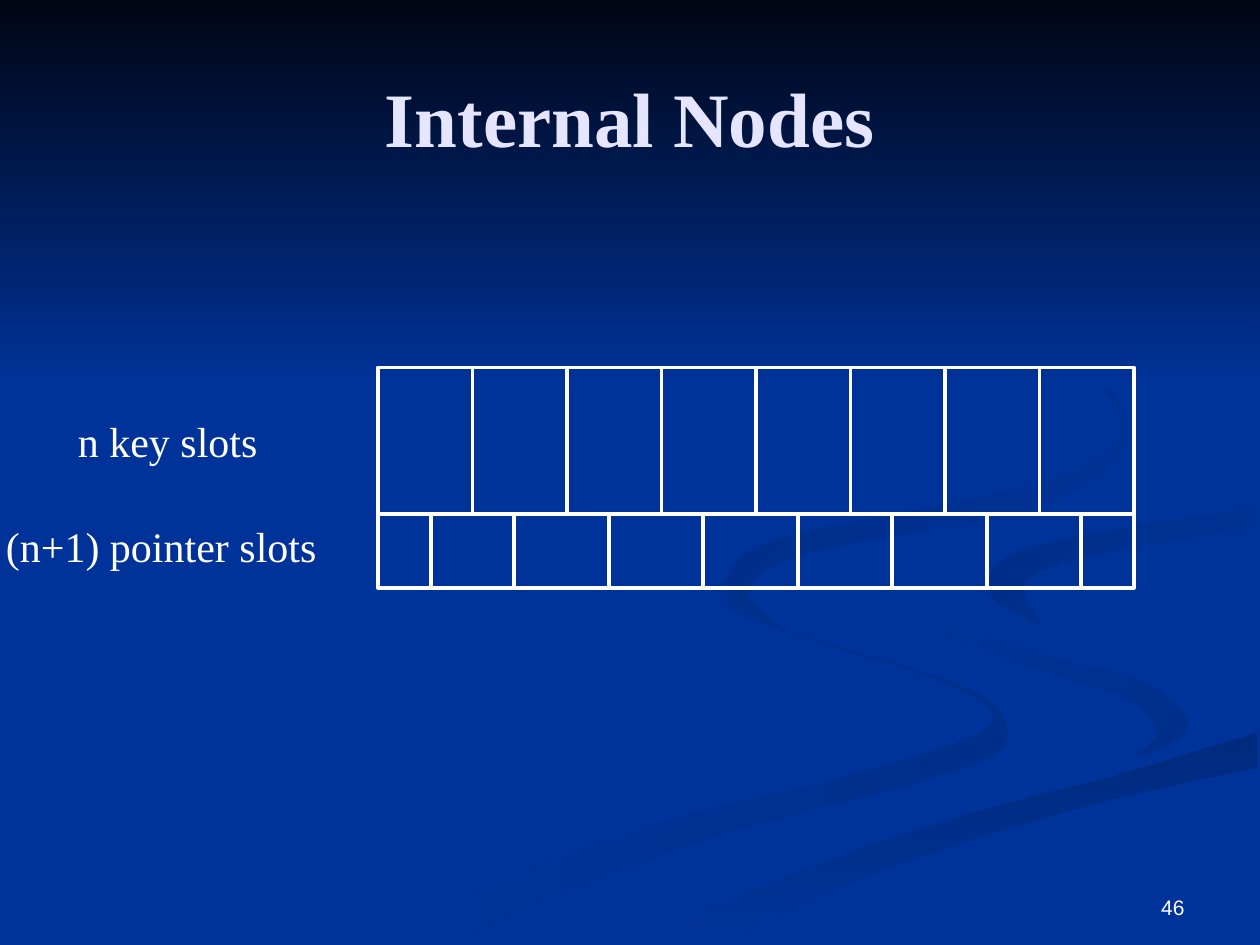
from dataclasses import dataclass

from lxml import etree
from pptx import Presentation
from pptx.dml.color import RGBColor
from pptx.enum.shapes import MSO_CONNECTOR, MSO_SHAPE
from pptx.enum.text import MSO_ANCHOR, MSO_AUTO_SIZE, PP_ALIGN
from pptx.oxml.ns import qn
from pptx.util import Cm, Pt

STRAIGHT = MSO_CONNECTOR.STRAIGHT
RECTANGLE = MSO_SHAPE.RECTANGLE
LEFT, CENTER, RIGHT = PP_ALIGN.LEFT, PP_ALIGN.CENTER, PP_ALIGN.RIGHT
TOP, MIDDLE, BOTTOM = MSO_ANCHOR.TOP, MSO_ANCHOR.MIDDLE, MSO_ANCHOR.BOTTOM
FIT_SHAPE = MSO_AUTO_SIZE.SHAPE_TO_FIT_TEXT

COLORS = {
    "night": "000514",
    "blue": "003399",
    "shade": "002E8B",
    "deep": "002A7D",
    "dusk": "002D86",
    "dark": "002B82",
    "title": "E5E5FF",
    "white": "FFFFFF",
}
SERIF, SANS = "Times New Roman", "Arial"

SLIDE_WIDTH, SLIDE_HEIGHT = 25.4, 19.05
RIBBON_UNIT = Cm(2.54) / 100  # ribbon points are hundredths of an inch
CURVE_STEPS = 5

# The node: a row of key slots above a row of pointer slots
KEY_COUNT = 8
NODE_LEFT, NODE_TOP, NODE_WIDTH = 7.62, 7.41, 15.24
KEY_HEIGHT, POINTER_HEIGHT = 2.96, 1.48
END_SLOT_WIDTH = 1.06
LINE_WIDTH = 2.25

Point = tuple[float, float]


@dataclass
class Ribbon:
    """A curved band of the background: smooth edges joined by straight ends."""
    start: str
    end: str
    angle: int
    edges: list[list[Point]]


@dataclass
class Label:
    text: str
    left: float
    top: float
    width: float
    height: float


# Edges shared by neighbouring ribbons
VALLEY = [(724, 464), (745, 490), (831, 519), (905, 540), (943, 570), (926, 593)]
BANK = [(503, 749), (630, 693), (765, 647), (904, 610), (998, 581)]
CREST = [(781, 460), (810, 437), (898, 418), (998, 402)]

RIBBONS = [
    Ribbon("shade", "blue", 180, [
        [(575, 459), (570, 472), (593, 491), (679, 519), (741, 539), (785, 562),
         (774, 583), (684, 613), (539, 649), (417, 690), (300, 749)],
        [(361, 749), (466, 700), (594, 656), (721, 623), (786, 601), (800, 581),
         (781, 553), (715, 528), (614, 496), (575, 459)]]),
    Ribbon("shade", "blue", 225, [
        VALLEY + [(894, 605)],
        [(894, 605), (918, 581), (892, 553), (838, 536), (755, 505), (724, 464)]]),
    Ribbon("deep", "blue", 90, [
        BANK, [(998, 609), (861, 640), (695, 692), (571, 749)]]),
    Ribbon("blue", "blue", 0, [
        VALLEY + [(780, 634), (619, 684), (477, 749)], BANK,
        [(999, 538), (904, 519), (804, 485), (781, 460)], CREST,
        [(999, 387), (830, 415), (755, 432), (724, 464)]]),
    Ribbon("blue", "dusk", 225, [
        CREST, [(998, 420), (896, 435), (816, 459), (826, 496)],
        [(826, 496), (791, 478), (781, 460)]]),
    Ribbon("blue", "dark", 225, [
        [(762, 233), (846, 279), (889, 335), (861, 370), (763, 398), (649, 420),
         (589, 441), (580, 474), (622, 500)],
        [(622, 500), (593, 470), (624, 444), (683, 430), (807, 407), (883, 370),
         (890, 324), (843, 275), (762, 233)]]),
]

SLOT_LABELS = [
    Label("n key slots", 1.32, 8.26, 4.72, 1.27),
    Label("(n+1) pointer slots", -0.13, 10.37, 7.8, 1.27),
]
PAGE_NUMBER = Label("46", 18.21, 17.36, 5.92, 1.31)


def rgb(name: str) -> RGBColor:
    return RGBColor.from_string(COLORS[name])


def smooth_edge(knots: list[Point]) -> list[Point]:
    """Run a Catmull-Rom curve through the knots."""
    padded = [knots[0], *knots, knots[-1]]
    curve = [knots[0]]
    for a, b, c, d in zip(padded, padded[1:], padded[2:], padded[3:]):
        for step in range(1, CURVE_STEPS + 1):
            t = step / CURVE_STEPS
            curve.append(tuple(
                q + t / 2 * (r - p + t * (2 * p - 5 * q + 4 * r - s
                                          + t * (3 * (q - r) + s - p)))
                for p, q, r, s in zip(a, b, c, d)))
    return curve


def paint_gradient(shape, start: str, end: str, angle: int) -> None:
    """Fill without outline; the angle runs clockwise from left-to-right."""
    shape.shadow.inherit = False
    shape.line.fill.background()
    shape.fill.gradient()
    shape.fill.gradient_angle = -angle % 360
    for stop, name in zip(shape.fill.gradient_stops, (start, end)):
        stop.color.rgb = rgb(name)


def draw_ribbon(shapes, ribbon: Ribbon) -> None:
    first, *rest = [point for edge in ribbon.edges for point in smooth_edge(edge)]
    builder = shapes.build_freeform(*first, scale=RIBBON_UNIT)
    builder.add_line_segments(rest, close=True)
    paint_gradient(builder.convert_to_shape(), ribbon.start, ribbon.end, ribbon.angle)


def draw_line(shapes, x1: float, y1: float, x2: float, y2: float) -> None:
    line = shapes.add_connector(STRAIGHT, Cm(x1), Cm(y1), Cm(x2), Cm(y2))
    line.line.color.rgb = rgb("white")
    line.line.width = Pt(LINE_WIDTH)
    etree.SubElement(line._element.spPr, qn("a:effectLst"))


def write(frame, text: str, *, size: int, font: str = SERIF, color: str = "white",
          bold: bool = False, align=LEFT, anchor=TOP, wrap: bool = True) -> None:
    frame.word_wrap = wrap
    frame.vertical_anchor = anchor
    paragraph = frame.paragraphs[0]
    paragraph.alignment = align
    run = paragraph.add_run()
    run.text = text
    run.font.name, run.font.size, run.font.bold = font, Pt(size), bold
    run.font.color.rgb = rgb(color)


def add_label(shapes, label: Label, **style) -> None:
    box = shapes.add_textbox(Cm(label.left), Cm(label.top), Cm(label.width), Cm(label.height))
    if not style.get("wrap", True):
        box.text_frame.auto_size = FIT_SHAPE
    write(box.text_frame, label.text, **style)


def draw_node(shapes) -> None:
    pitch = NODE_WIDTH / KEY_COUNT
    right = NODE_LEFT + NODE_WIDTH
    middle = NODE_TOP + KEY_HEIGHT
    bottom = middle + POINTER_HEIGHT
    frame = shapes.add_shape(RECTANGLE, Cm(NODE_LEFT), Cm(NODE_TOP),
                             Cm(NODE_WIDTH), Cm(KEY_HEIGHT + POINTER_HEIGHT))
    frame.shadow.inherit = False
    frame.fill.background()
    frame.line.color.rgb = rgb("white")
    frame.line.width = Pt(LINE_WIDTH)
    draw_line(shapes, NODE_LEFT, middle, right, middle)
    for i in range(1, KEY_COUNT):
        x = NODE_LEFT + i * pitch
        draw_line(shapes, x, NODE_TOP, x, middle)
    pointer_edges = [right - END_SLOT_WIDTH - i * pitch for i in range(KEY_COUNT - 1)]
    for x in [NODE_LEFT + END_SLOT_WIDTH, *pointer_edges]:
        draw_line(shapes, x, middle, x, bottom)


def main() -> None:
    deck = Presentation()
    deck.slide_width, deck.slide_height = Cm(SLIDE_WIDTH), Cm(SLIDE_HEIGHT)
    slide = deck.slides.add_slide(deck.slide_layouts[5])
    shapes = slide.shapes
    slide.background.fill.solid()
    slide.background.fill.fore_color.rgb = rgb("blue")

    for ribbon in RIBBONS:
        draw_ribbon(shapes, ribbon)
    sky = shapes.add_shape(RECTANGLE, 0, 0, Cm(SLIDE_WIDTH), Cm(7.82))
    paint_gradient(sky, "night", "blue", 90)

    title = shapes.title
    title.left, title.top, title.width, title.height = Cm(1.27), Cm(0.76), Cm(22.86), Cm(3.18)
    write(title.text_frame, "Internal Nodes", size=44, color="title", bold=True,
          align=CENTER, anchor=MIDDLE)
    title.element.getparent().append(title.element)  # in front of the background

    add_label(shapes, PAGE_NUMBER, size=12, font=SANS, align=RIGHT, anchor=BOTTOM)
    draw_node(shapes)
    for label in SLOT_LABELS:
        add_label(shapes, label, size=24, wrap=False)
    deck.save("out.pptx")


if __name__ == "__main__":
    main()
